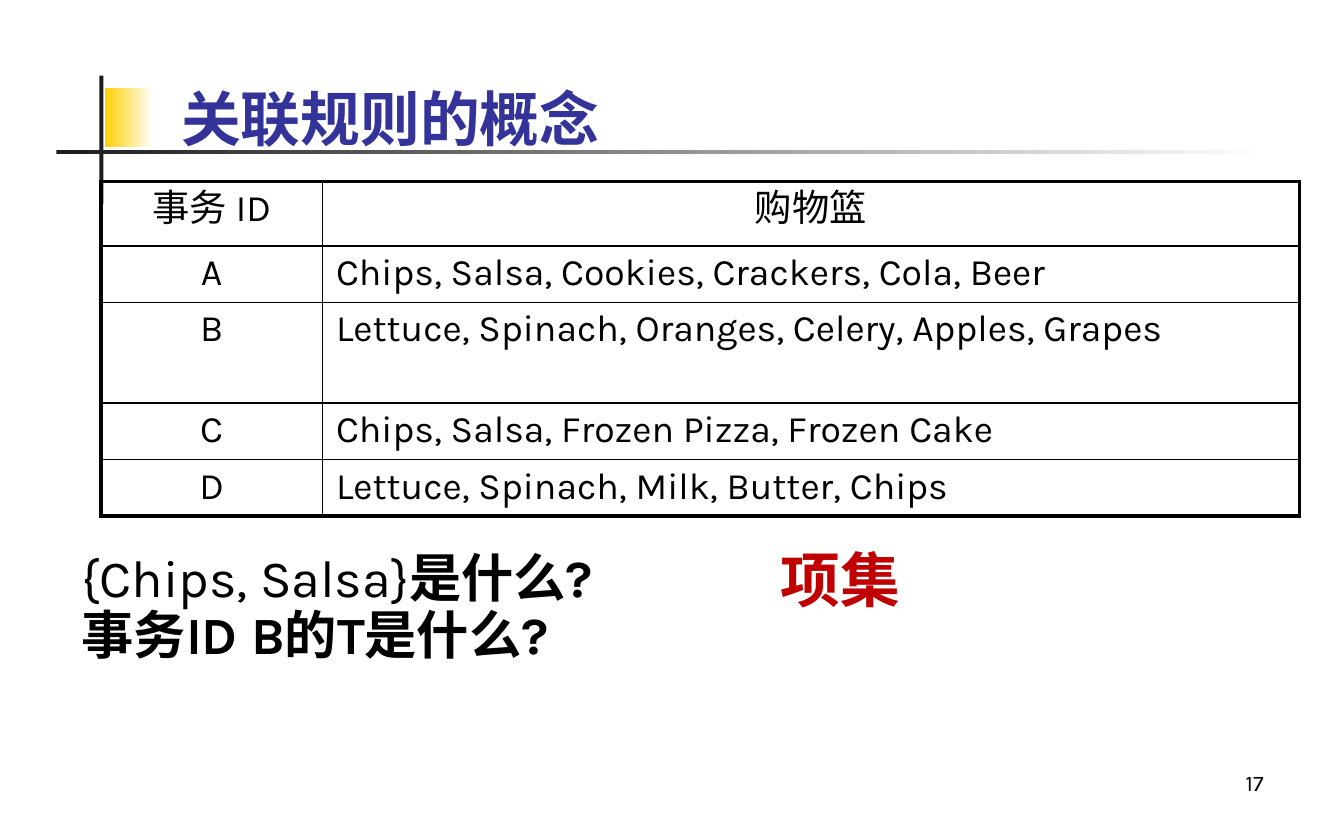
from dataclasses import dataclass

from lxml import etree
from pptx import Presentation
from pptx import util as u
from pptx.dml.color import RGBColor
from pptx.enum import lang, shapes, text
from pptx.oxml import ns


@dataclass(frozen=True)
class Theme:
    font: str = "Karla"
    ink: str = "000000"
    bar: str = "1C1C1C"
    gold: str = "FFCF01"
    white: str = "FFFFFF"
    blue: str = "333399"
    red: str = "C00000"
    head: int = 32
    body: int = 28
    cell: int = 20
    note: int = 12
    thick: float = 2.25
    thin: float = 1


T = Theme()
WIDE, HIGH = 10, 6.25
LEFT, MID, RIGHT = text.PP_ALIGN.LEFT, text.PP_ALIGN.CENTER, text.PP_ALIGN.RIGHT
COLS = (1.65, 7.27)
ROWS = (0.48, 0.42, 0.75, 0.42, 0.42)
BASKETS = (
    ("事务 ID", "购物篮"),
    ("A", "Chips, Salsa, Cookies, Crackers, Cola, Beer"),
    ("B", "Lettuce, Spinach, Oranges, Celery, Apples, Grapes"),
    ("C", "Chips, Salsa, Frozen Pizza, Frozen Cake"),
    ("D", "Lettuce, Spinach, Milk, Butter, Chips"),
)


def place(x, y, w, h):
    return [u.Inches(n) for n in (x * WIDE, y * HIGH, w * WIDE, h * HIGH)]


def color(code):
    return RGBColor.from_string(code)


def add_run(para, words, size, tint=T.ink, bold=False):
    run = para.add_run()
    run.text = words
    font = run.font
    font.name, font.size, font.bold = T.font, u.Pt(size), bold
    font.color.rgb = color(tint)
    font.language_id = lang.MSO_LANGUAGE_ID.SIMPLIFIED_CHINESE
    east = etree.SubElement(run._r.get_or_add_rPr(), ns.qn("a:ea"))
    east.set("typeface", T.font)


def add_bar(slide, box, tint, fade=False):
    bar = slide.shapes.add_shape(shapes.MSO_SHAPE.RECTANGLE, *place(*box))
    bar.shadow.inherit = False
    bar.line.fill.background()
    if fade:
        bar.fill.gradient()
        bar.fill.gradient_angle = 0
        for stop, code in zip(bar.fill.gradient_stops, (tint, T.white)):
            stop.color.rgb = color(code)
    else:
        bar.fill.solid()
        bar.fill.fore_color.rgb = color(tint)


def add_text(slide, box, lines, align=LEFT, low=False, wrap=True, pitch=None):
    frame = slide.shapes.add_textbox(*place(*box)).text_frame
    frame.word_wrap = wrap
    if not wrap:
        frame.auto_size = text.MSO_AUTO_SIZE.SHAPE_TO_FIT_TEXT
    if low:
        frame.vertical_anchor = text.MSO_ANCHOR.BOTTOM
    for i, runs in enumerate(lines):
        para = frame.add_paragraph() if i else frame.paragraphs[0]
        para.alignment = align
        para.line_spacing = pitch
        for run in runs:
            add_run(para, *run)


def add_edges(cell, sides):
    props = cell._tc.get_or_add_tcPr()
    for at, (side, outer) in enumerate(sides.items()):
        width = u.Pt(T.thick if outer else T.thin)
        line = etree.Element(ns.qn(f"a:ln{side}"), w=str(width))
        fill = etree.SubElement(line, ns.qn("a:solidFill"))
        etree.SubElement(fill, ns.qn("a:srgbClr"), val=T.ink)
        props.insert(at, line)


def add_grid(slide, x, y):
    box = place(x, y, sum(COLS) / WIDE, sum(ROWS) / HIGH)
    grid = slide.shapes.add_table(len(ROWS), len(COLS), *box).table
    grid.horz_banding = grid.first_row = False
    for col, width in zip(grid.columns, COLS):
        col.width = u.Inches(width)
    for r, (row, tall) in enumerate(zip(grid.rows, ROWS)):
        row.height = u.Inches(tall)
        for c, cell in enumerate(row.cells):
            cell.fill.background()
            cell.margin_top = cell.margin_bottom = u.Inches(0.04)
            para = cell.text_frame.paragraphs[0]
            para.alignment = LEFT if r and c else MID
            add_run(para, BASKETS[r][c], T.cell)
            add_edges(cell, {"L": c == 0, "R": c == len(COLS) - 1,
                             "T": r == 0, "B": r == len(ROWS) - 1})


def main():
    deck = Presentation()
    deck.slide_width, deck.slide_height = u.Inches(WIDE), u.Inches(HIGH)
    slide = deck.slides.add_slide(deck.slide_layouts[6])
    add_bar(slide, (0.078, 0.105, 0.036, 0.07), T.gold, True)
    add_bar(slide, (0.074, 0.09, 0.003, 0.153), T.bar)
    add_bar(slide, (0.042, 0.178, 0.9, 0.005), T.bar, True)
    add_text(slide, (0.742, 0.9, 0.208, 0.055), [[("17", T.note)]], RIGHT, low=True)
    add_text(slide, (0.125, 0.1, 0.852, 0.09),
             [[("关联规则的概念", T.head, T.blue, True)]], low=True)
    asks = [
        [("{Chips, Salsa}", T.body), ("是什么?", T.body, T.ink, True)],
        [("事务ID B的T是什么?", T.body, T.ink, True)],
    ]
    add_text(slide, (0.051, 0.65, 0.917, 0.3), asks, pitch=0.9)
    add_grid(slide, 0.075, 0.216)
    add_text(slide, (0.571, 0.638, 0.11, 0.102),
             [[("项集", T.head, T.red, True)]], wrap=False)
    deck.save("out.pptx")


if __name__ == "__main__":
    main()
